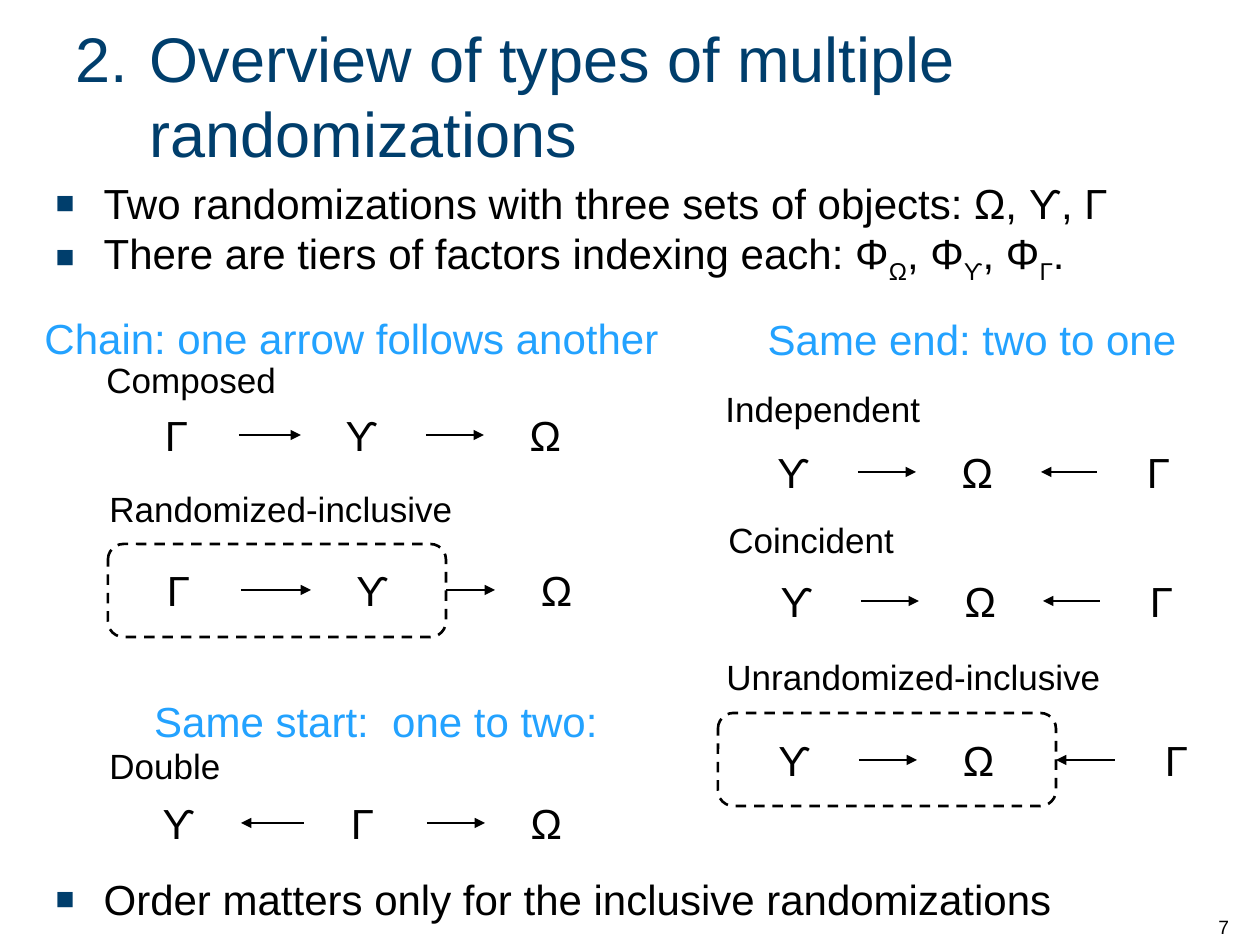
from lxml import etree
from pptx import Presentation
from pptx.dml.color import RGBColor
from pptx.enum.dml import MSO_LINE
from pptx.enum.shapes import MSO_CONNECTOR, MSO_SHAPE
from pptx.enum.text import MSO_ANCHOR, MSO_AUTO_SIZE, PP_ALIGN
from pptx.oxml.ns import qn
from pptx.util import Inches, Pt

NAVY = RGBColor(0x00, 0x3E, 0x6C)
SKY = RGBColor(0x23, 0xA2, 0xFF)
BLACK = RGBColor(0, 0, 0)
STRAIGHT = MSO_CONNECTOR.STRAIGHT
ROUNDED = MSO_SHAPE.ROUNDED_RECTANGLE
DASH = MSO_LINE.DASH
MIDDLE, BOTTOM = MSO_ANCHOR.MIDDLE, MSO_ANCHOR.BOTTOM
LEFT, CENTER = PP_ALIGN.LEFT, PP_ALIGN.CENTER
NO_FIT = MSO_AUTO_SIZE.NONE
FONT = "Arial"
SCALE = 914400 / 126
NODE_W, NODE_H = 123, 74
LABEL_H = 55


def px(n):
    return round(n * SCALE)


class Deck:
    def __init__(self, slide):
        self.slide = slide
        self.shapes = slide.shapes

    def place(self, sp, x, y, w, h):
        sp.left, sp.top, sp.width, sp.height = px(x), px(y), px(w), px(h)

    def style(self, p, size, color, align=LEFT):
        p.alignment = align
        for r in p.runs:
            r.font.size = Pt(size)
            r.font.name = FONT
            r.font.color.rgb = color

    def hang(self, p, indent):
        pPr = p._p.get_or_add_pPr()
        pPr.set("marL", str(px(indent)))
        pPr.set("indent", str(-px(indent)))
        return pPr

    def title(self, text, x, y, w, h):
        sp = self.shapes.title
        self.place(sp, x, y, w, h)
        tf = sp.text_frame
        tf.text = text
        tf.auto_size = NO_FIT
        tf.vertical_anchor = MIDDLE
        self.hang(tf.paragraphs[0], 74)
        self.style(tf.paragraphs[0], 36, NAVY)

    def bullets(self, idx, items, x, y, w, h, before=0):
        sp = self.slide.placeholders[idx]
        self.place(sp, x, y, w, h)
        tf = sp.text_frame
        tf.auto_size = NO_FIT
        for i, parts in enumerate(items):
            p = tf.add_paragraph() if i else tf.paragraphs[0]
            for j, part in enumerate(parts):
                r = p.add_run()
                r.text = part
                if j % 2:
                    r.font._element.set("baseline", "-25000")
            self.style(p, 24, BLACK)
            p.space_before = Pt(before)
            pPr = self.hang(p, 48)
            clr = etree.SubElement(pPr, qn("a:buClr"))
            etree.SubElement(clr, qn("a:srgbClr"), val=str(NAVY))
            etree.SubElement(pPr, qn("a:buSzPct"), val="75000")
            etree.SubElement(pPr, qn("a:buFont"), typeface=FONT)
            etree.SubElement(pPr, qn("a:buChar"), char="■")

    def text(self, text, x, y, w, h, size, color=BLACK, align=LEFT, wrap=True):
        tf = self.shapes.add_textbox(px(x), px(y), px(w), px(h)).text_frame
        tf.text = text
        tf.word_wrap = wrap
        self.style(tf.paragraphs[0], size, color, align)
        return tf

    def rounded(self, x, y, w, h):
        sp = self.shapes.add_shape(ROUNDED, px(x), px(y), px(w), px(h))
        sp.shadow.inherit = False
        sp.fill.background()
        return sp

    def node(self, symbol, x, y):
        sp = self.rounded(x, y, NODE_W, NODE_H)
        sp.line.fill.background()
        tf = sp.text_frame
        tf.text = symbol
        tf.vertical_anchor = MIDDLE
        self.style(tf.paragraphs[0], 24, BLACK, CENTER)

    def frame(self, x, y, w, h):
        sp = self.rounded(x, y, w, h)
        sp.line.color.rgb = BLACK
        sp.line.width = Pt(1.5)
        sp.line.dash_style = DASH

    def arrow(self, x1, x2, y):
        c = self.shapes.add_connector(STRAIGHT, px(x1), px(y), px(x2), px(y))
        c.line.color.rgb = BLACK
        c.line.width = Pt(1.5)
        etree.SubElement(c.line._get_or_add_ln(), qn("a:tailEnd"), type="triangle")
        etree.SubElement(c._element.spPr, qn("a:effectLst"))

    def diagram(self, label, x, y, w, row_y, nodes, arrows):
        self.text(label, x, y, w, LABEL_H, 20, wrap=False)
        for symbol, node_x in nodes:
            self.node(symbol, node_x, row_y)
        for x1, x2 in arrows:
            self.arrow(x1, x2, row_y + NODE_H // 2)


HEADINGS = [
    ("Chain: one arrow follows another", 29, 306, 645),
    ("Same end: two to one", 711, 307, 522),
    ("Same start:  one to two:", 115, 689, 522),
]
DIAGRAMS = [
    ("Composed", 94, 352, 197, 398,
     [("Γ", 115), ("ϒ", 300), ("Ω", 484)], [(239, 301), (426, 484)]),
    ("Randomized-inclusive", 97, 481, 372, 553,
     [("Γ", 117), ("ϒ", 311), ("Ω", 495)], [(241, 311), (446, 495)]),
    ("Double", 97, 738, 137, 786,
     [("ϒ", 117), ("Γ", 301), ("Ω", 485)], [(304, 241), (427, 485)]),
    ("Independent", 713, 381, 222, 435,
     [("ϒ", 732), ("Ω", 916), ("Γ", 1097)], [(858, 916), (1097, 1041)]),
    ("Coincident", 716, 512, 193, 564,
     [("ϒ", 735), ("Ω", 919), ("Γ", 1100)], [(861, 919), (1100, 1043)]),
    ("Unrandomized-inclusive", 714, 649, 403, 723,
     [("ϒ", 733), ("Ω", 917), ("Γ", 1115)], [(859, 917), (1115, 1056)]),
]
FRAMES = [(108, 544), (718, 713)]

prs = Presentation()
prs.slide_width, prs.slide_height = Inches(10), Inches(7.5)
deck = Deck(prs.slides.add_slide(prs.slide_layouts[3]))

deck.title("2.\tOverview of types of multiple randomizations", 63, 24, 1134, 142)
deck.bullets(1, [
    ["Two randomizations with three sets of objects: Ω, ϒ, Γ"],
    ["There are tiers of factors indexing each: Φ", "Ω", ", Φ", "ϒ", ", Φ", "Γ", "."],
], 43, 171, 1166, 111)
deck.bullets(2, [["Order matters only for the inclusive randomizations"]],
             43, 867, 1166, 77, before=5)
for text, x, y, w in HEADINGS:
    deck.text(text, x, y, w, 64, 24, SKY, CENTER)
for row in DIAGRAMS:
    deck.diagram(*row)
for x, y in FRAMES:
    deck.frame(x, y, 338, 93)
deck.text("7", 1206, 882, 53, 63, 11).vertical_anchor = BOTTOM

prs.save("out.pptx")
